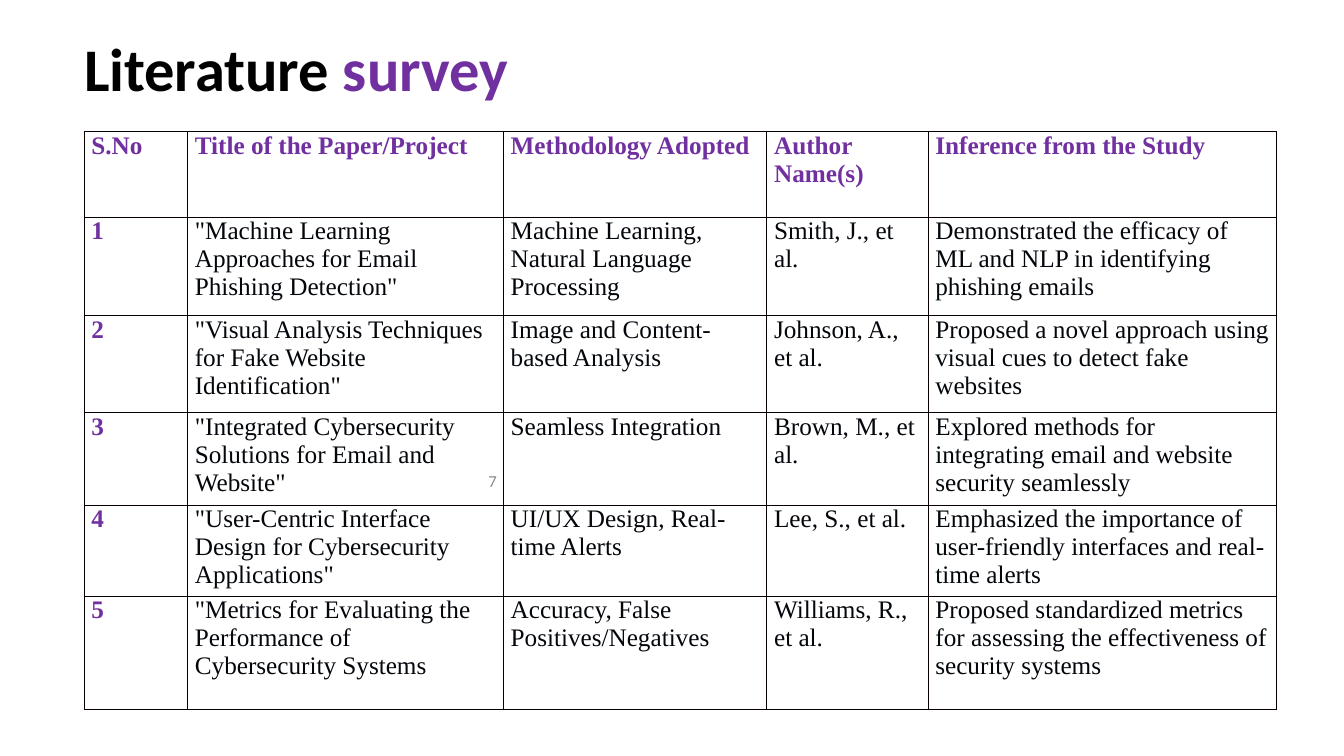
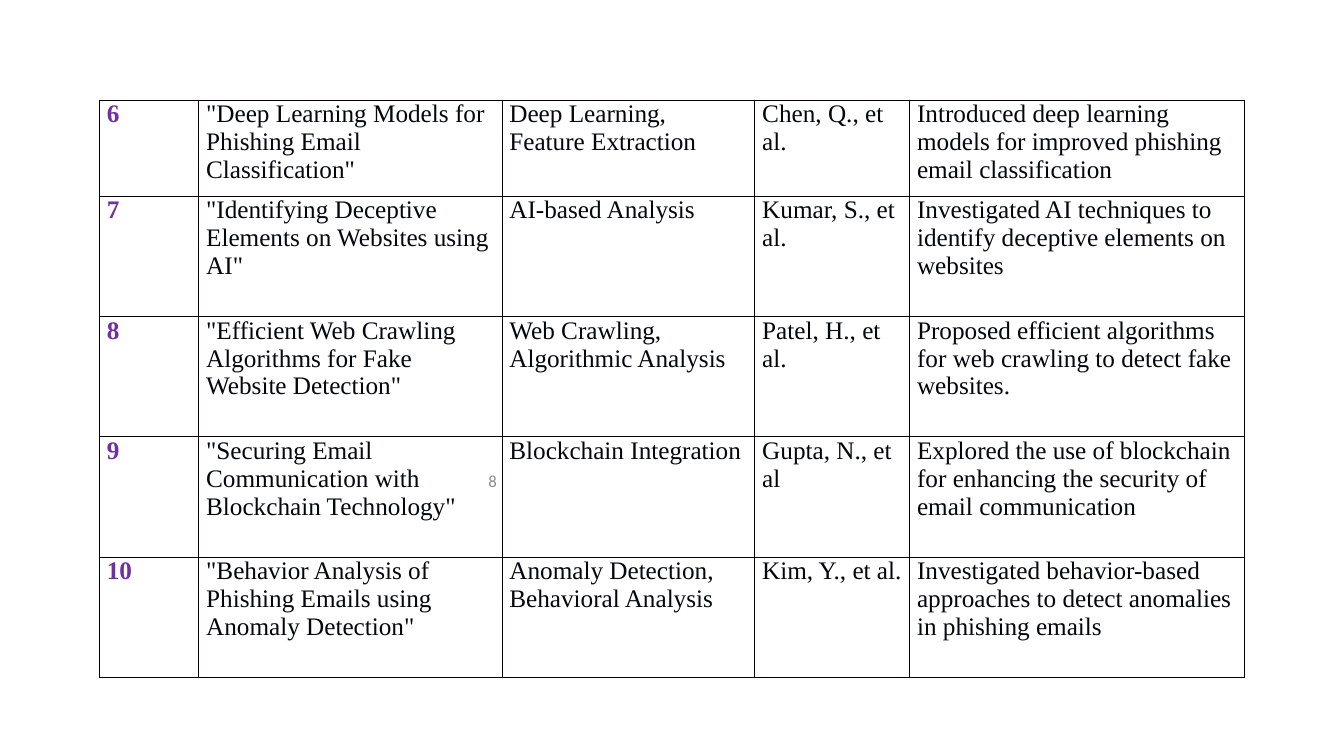
from lxml.etree import SubElement
from pptx import Presentation
from pptx.dml.color import RGBColor
from pptx.enum.text import MSO_ANCHOR
from pptx.oxml.ns import qn
from pptx.util import Inches, Pt

WIDE, HIGH = 20, 11.25
PLUM, INK, GRAY, EDGE = "7030A0", "03070C", "8C8C8C", "080000"
COLS = [1.54, 4.7, 3.92, 2.4, 5.19]
HEAD = ["S.No", "Title of the Paper/Project", "Methodology Adopted",
        "Author Name(s)", "Inference from the Study"]
PAPERS = [
    ['"Machine Learning Approaches for Email Phishing Detection"',
     "Machine Learning, Natural Language Processing", "Smith, J., et al.",
     "Demonstrated the efficacy of ML and NLP in identifying phishing emails"],
    ['"Visual Analysis Techniques for Fake Website Identification"',
     "Image and Content-based Analysis", "Johnson, A., et al.",
     "Proposed a novel approach using visual cues to detect fake websites"],
    ['"Integrated Cybersecurity Solutions for Email and Website"',
     "Seamless Integration", "Brown, M., et al.",
     "Explored methods for integrating email and website security seamlessly"],
    ['"User-Centric Interface Design for Cybersecurity Applications"',
     "UI/UX Design, Real-time Alerts", "Lee, S., et al.",
     "Emphasized the importance of user-friendly interfaces and real-time alerts"],
    ['"Metrics for Evaluating the Performance of Cybersecurity Systems',
     "Accuracy, False Positives/Negatives", "Williams, R., et al.",
     "Proposed standardized metrics for assessing the effectiveness of security systems"],
    ['"Deep Learning Models for Phishing Email Classification"',
     "Deep Learning, Feature Extraction", "Chen, Q., et al.",
     "Introduced deep learning models for improved phishing email classification"],
    ['"Identifying Deceptive Elements on Websites using AI"',
     "AI-based Analysis", "Kumar, S., et al.",
     "Investigated AI techniques to identify deceptive elements on websites"],
    ['"Efficient Web Crawling Algorithms for Fake Website Detection"',
     "Web Crawling, Algorithmic Analysis", "Patel, H., et al.",
     "Proposed efficient algorithms for web crawling to detect fake websites."],
    ['"Securing Email Communication with Blockchain Technology"',
     "Blockchain Integration", "Gupta, N., et al",
     "Explored the use of blockchain for enhancing the security of email communication"],
    ['"Behavior Analysis of Phishing Emails using Anomaly Detection"',
     "Anomaly Detection, Behavioral Analysis", "Kim, Y., et al.",
     "Investigated behavior-based approaches to detect anomalies in phishing emails"],
]
ROWS = [[str(num), *paper] for num, paper in enumerate(PAPERS, 1)]
PAGES = [
    (7, 1.25, 1.96, 1, [1.27, 1.47, 1.44, 1.38, 1.35, 1.68], [HEAD] + ROWS[:5]),
    (8, 1.48, 1.49, 0.96, [1.43] + [1.79] * 4, ROWS[5:]),
]


def style(font, name, size, color, bold=False):
    font.name, font.size, font.bold = name, Pt(size), bold
    font.color.rgb = RGBColor.from_string(color)


def label(slide, left, top, width, height, anchor, inset):
    frame = slide.shapes.add_textbox(
        *[Inches(n) for n in (left, top, width, height)]).text_frame
    frame.word_wrap = True
    frame.vertical_anchor = anchor
    frame.margin_left = frame.margin_right = Inches(inset)
    frame.margin_top = frame.margin_bottom = 0
    return frame.paragraphs[0]


deck = Presentation()
deck.slide_width, deck.slide_height = Inches(WIDE), Inches(HIGH)

for page, left, top, scale, heights, rows in PAGES:
    slide = deck.slides.add_slide(deck.slide_layouts[6])
    if rows[0] is HEAD:
        title = label(slide, left, 0.38, WIDE / 3, 1.16, MSO_ANCHOR.BOTTOM, 0)
        for word, color in (("Literature ", "000000"), ("survey", PLUM)):
            run = title.add_run()
            run.text = word
            style(run.font, "Calibri", 64.8, color, True)

    number = label(slide, 7.17, 6.95, 2.33, 0.4, MSO_ANCHOR.MIDDLE, 0.1)
    number.text = str(page)
    style(number.font, "Calibri", 18, GRAY)

    widths = [col * scale for col in COLS]
    table = slide.shapes.add_table(
        len(rows), len(COLS), Inches(left), Inches(top),
        Inches(sum(widths)), Inches(sum(heights))).table
    table.first_row = table.horz_banding = False
    for col, width in zip(table.columns, widths):
        col.width = Inches(width)
    for line, height, texts in zip(table.rows, heights, rows):
        line.height = Inches(height)
        for spot, (cell, text) in enumerate(zip(line.cells, texts)):
            cell.margin_left = cell.margin_right = Inches(0.11)
            cell.margin_top = cell.margin_bottom = 0
            cell.text = text
            strong = spot == 0 or texts is HEAD
            style(cell.text_frame.paragraphs[0].font, "Times New Roman", 27,
                  PLUM if strong else INK, strong)
            props = cell._tc.get_or_add_tcPr()
            for side in ("lnL", "lnR", "lnT", "lnB"):
                edge = SubElement(props, qn("a:" + side), w=str(Pt(1)))
                fill = SubElement(edge, qn("a:solidFill"))
                SubElement(fill, qn("a:srgbClr"), val=EDGE)
            cell.fill.background()

deck.save("out.pptx")
